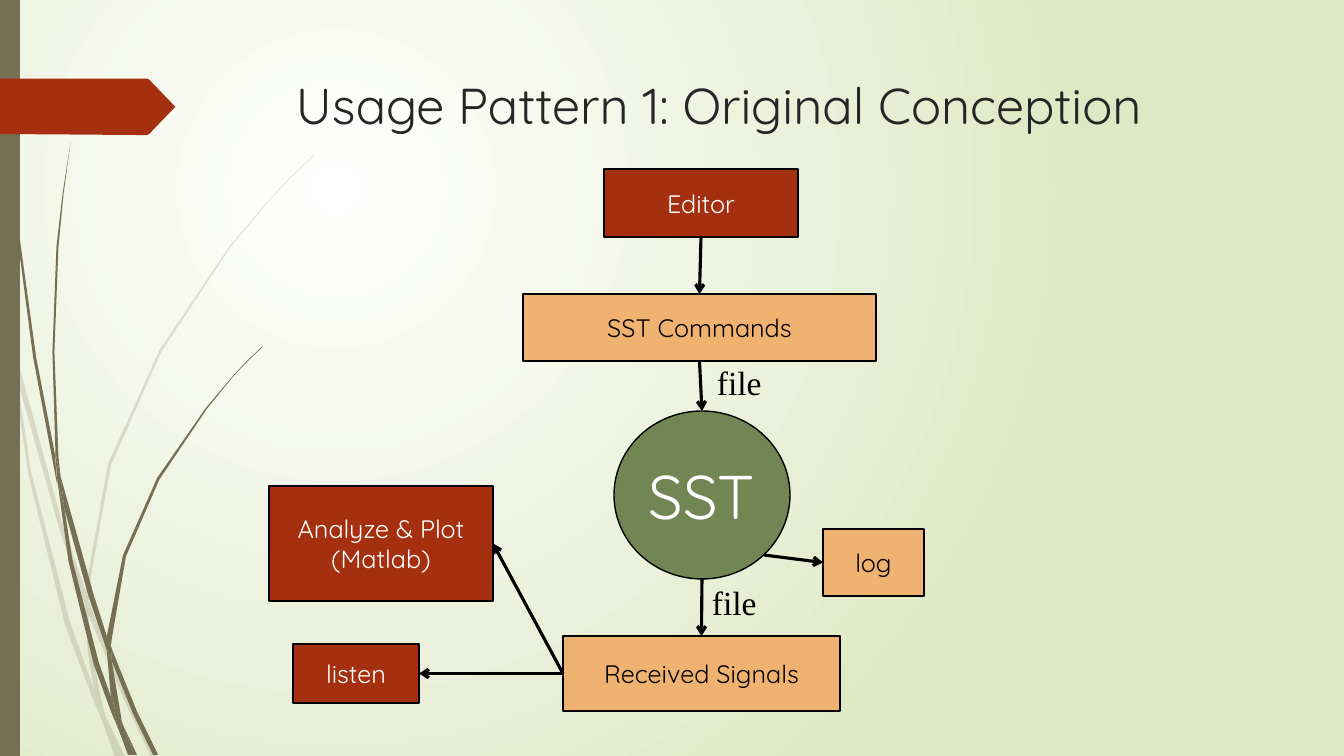
from dataclasses import dataclass

from lxml.etree import SubElement
from pptx import Presentation
from pptx.dml.color import RGBColor
from pptx.enum.shapes import MSO_CONNECTOR, MSO_SHAPE
from pptx.enum.text import MSO_ANCHOR, PP_ALIGN
from pptx.oxml.ns import qn
from pptx.util import Pt

SCALE = 12192000 / 1344
STRETCH = 1.008


@dataclass(frozen=True)
class Theme:
    """Colours, fonts and type sizes of the slide."""
    red: str = "A53010"
    sand: str = "F0B270"
    green: str = "728653"
    stem: str = "766F54"
    glow: str = "FFFFFF"
    field: str = "DFE8C4"
    ink: str = "262626"
    black: str = "000000"
    white: str = "FFFFFF"
    sans: str = "Quicksand"
    serif: str = "Times New Roman"
    title: int = 36
    label: int = 18
    note: int = 24
    hub: int = 44


THEME = Theme()

FAINT = [
    [(11, 350), (9, 322), (0, 282), (0, 299), (10, 344)],
    [(58, 522), (84, 599), (85, 586), (62, 520), (14, 345), (17, 376)],
    [(92, 607), (88, 596), (88, 610), (123, 694), (150, 751), (155, 751), (127, 692)],
    [(119, 751), (124, 751), (105, 711)],
    [(93, 683), (70, 619), (31, 469), (17, 376), (11, 350), (28, 470), (65, 621),
     (92, 693), (101, 714), (99, 707)],
    [(84, 599), (87, 646), (93, 683), (96, 692), (105, 711), (103, 706), (91, 646),
     (88, 610), (88, 608)],
    [(88, 584), (110, 462), (160, 349), (229, 245), (268, 198), (290, 175), (312, 154),
     (312, 153), (289, 175), (268, 197), (228, 244), (158, 348), (107, 461), (85, 584),
     (85, 586), (88, 596)],
    [(101, 714), (114, 751), (119, 751)],
    [(88, 608), (88, 610), (88, 596), (85, 586), (84, 599)],
    [(96, 692), (93, 683), (99, 707), (101, 714), (119, 751), (105, 711)],
]
DARK = [
    [(7, 110), (17, 233), (33, 355), (56, 477), (57, 481), (55, 457), (55, 453),
     (36, 355), (19, 232), (8, 109), (5, 48), (4, 0), (3, 0), (4, 48)],
    [(88, 592), (106, 645), (106, 631), (93, 590), (60, 472), (64, 505)],
    [(113, 649), (110, 641), (111, 656), (132, 708), (152, 749), (157, 749), (136, 706)],
    [(110, 691), (98, 657), (72, 556), (64, 505), (57, 477), (68, 557), (93, 659),
     (111, 708), (117, 722), (116, 717)],
    [(60, 472), (58, 453), (54, 349), (58, 245), (63, 193), (70, 141), (62, 193),
     (56, 245), (52, 349), (55, 449)],
    [(133, 749), (136, 749), (122, 719)],
    [(57, 477), (64, 505), (60, 472), (55, 449), (55, 453)],
    [(111, 633), (125, 552), (158, 476), (205, 406), (231, 374), (245, 359), (261, 344),
     (260, 344), (245, 358), (231, 373), (204, 405), (156, 474), (122, 551), (106, 631),
     (110, 641)],
    [(117, 722), (127, 749), (131, 749)],
    [(106, 645), (110, 691), (116, 706), (122, 719), (121, 716), (111, 656), (109, 651)],
    [(106, 645), (109, 651), (111, 656), (110, 641), (106, 631)],
    [(116, 706), (110, 691), (116, 717), (117, 722), (130, 749), (133, 749), (122, 719)],
]
TAG = [(174, 106), (148, 133), (146, 134), (136, 134), (0, 133), (0, 78), (146, 78),
       (148, 79)]


def px(num):
    """Turn px into EMU."""
    return round(num * SCALE)


def rgb(code):
    """Turn a hex code into a colour."""
    return RGBColor.from_string(code)


def write(shape, text, size=THEME.label, font=THEME.sans, color=THEME.black,
          align=PP_ALIGN.LEFT, anchor=MSO_ANCHOR.TOP, wrap=False):
    """Put text into a shape, one paragraph a line."""
    frame = shape.text_frame
    frame.text = text
    frame.word_wrap = wrap
    frame.vertical_anchor = anchor
    for para in frame.paragraphs:
        para.alignment = align
        face = para.runs[0].font
        face.size, face.name = Pt(size), font
        face.color.rgb = rgb(color)


def note(slide, box, text, **style):
    """Add a text box."""
    write(slide.shapes.add_textbox(*map(px, box)), text, **style)


def paint(shape, fill, edge=None, alpha=None):
    """Set fill, line and shadow."""
    shape.shadow.inherit = False
    shape.fill.solid()
    shape.fill.fore_color.rgb = rgb(fill)
    if alpha:
        tint = shape.fill._xPr.find(".//" + qn("a:srgbClr"))
        SubElement(tint, qn("a:alpha"), val=str(alpha * 1000))
    if edge:
        shape.line.color.rgb = rgb(edge)
        shape.line.width = Pt(1)
    else:
        shape.line.fill.background()


def form(slide, kind, box, fill, edge=None):
    """Add a preset shape."""
    shape = slide.shapes.add_shape(kind, *map(px, box))
    paint(shape, fill, edge)
    return shape


def node(slide, text, box, fill, color, kind=MSO_SHAPE.RECTANGLE, size=THEME.label):
    """Add an outlined shape with a centred label."""
    shape = form(slide, kind, box, fill, THEME.black)
    write(shape, text, size=size, color=color, align=PP_ALIGN.CENTER,
          anchor=MSO_ANCHOR.MIDDLE)
    return shape


def arrow(slide, start, end, head=None, tail=None):
    """Draw an arrow; head and tail are (shape, side) joins."""
    line = slide.shapes.add_connector(MSO_CONNECTOR.STRAIGHT, *map(px, start + end))
    if head:
        line.begin_connect(*head)
    if tail:
        line.end_connect(*tail)
    line.line.color.rgb = rgb(THEME.black)
    line.line.width = Pt(2.25)
    SubElement(line.line._get_or_add_ln(), qn("a:tailEnd"), type="arrow")
    SubElement(line._element.spPr, qn("a:effectLst"))


def outline(slide, dots, fill, alpha=None):
    """Draw a closed outline, stretched to the slide."""
    first, *rest = [(px(x * STRETCH), px(y * STRETCH)) for x, y in dots]
    pen = slide.shapes.build_freeform(*first)
    pen.add_line_segments(rest, close=True)
    paint(pen.convert_to_shape(), fill, alpha=alpha)


def backdrop(slide):
    """Fill the background with a round glow."""
    fill = slide.background.fill
    fill.gradient()
    for stop, code, place in zip(fill.gradient_stops, (THEME.glow, THEME.field), (0, 1)):
        stop.color.rgb = rgb(code)
        stop.position = place
    grad = slide._element.find(".//" + qn("a:gradFill"))
    grad.remove(grad.find(qn("a:lin")))
    ring = SubElement(grad, qn("a:path"), path="circle")
    SubElement(ring, qn("a:fillToRect"), l="50000", t="50000", r="100000", b="100000")


def decor(slide):
    """Draw the grass, the side bar and the tag."""
    for blades, alpha in ((FAINT, 20), (DARK, None)):
        for dots in blades:
            outline(slide, dots, THEME.stem, alpha)
    form(slide, MSO_SHAPE.RECTANGLE, (0, 0, 20, 756), THEME.stem)
    outline(slide, TAG, THEME.red)


def diagram(slide):
    """Draw the flow from editor to signals."""
    tool, data = (THEME.red, THEME.white), (THEME.sand, THEME.black)
    edit = node(slide, "Editor", (604, 169, 194, 68), *tool)
    cmds = node(slide, "SST Commands", (523, 294, 353, 67), *data)
    node(slide, "SST", (614, 411, 176, 168), THEME.green, THEME.white,
         kind=MSO_SHAPE.OVAL, size=THEME.hub)
    got = node(slide, "Received Signals", (563, 636, 277, 75), *data)
    plot = node(slide, "Analyze & Plot\n(Matlab)", (269, 486, 224, 115), *tool)
    log = node(slide, "log", (823, 529, 101, 67), *data)
    hear = node(slide, "listen", (293, 644, 126, 59), *tool)
    arrow(slide, (701, 237), (700, 294), (edit, 2), (cmds, 0))
    arrow(slide, (700, 361), (702, 411), head=(cmds, 2))
    arrow(slide, (702, 579), (702, 636), tail=(got, 0))
    arrow(slide, (764, 555), (823, 563), tail=(log, 1))
    for goal in (plot, hear):
        arrow(slide, (563, 674), (493, 543), (got, 1), (goal, 3))
    for box, wrap in (((707, 357, 72, 50), True), ((702, 577, 66, 50), False)):
        note(slide, box, "file", size=THEME.note, font=THEME.serif, wrap=wrap)


def main():
    """Build and save the slide."""
    deck = Presentation()
    deck.slide_width, deck.slide_height = px(1344), px(756)
    slide = deck.slides.add_slide(deck.slide_layouts[6])
    backdrop(slide)
    decor(slide)
    note(slide, (286, 69, 983, 87), "Usage Pattern 1: Original Conception",
         size=THEME.title, color=THEME.ink, wrap=True)
    diagram(slide)
    deck.save("out.pptx")


if __name__ == "__main__":
    main()
